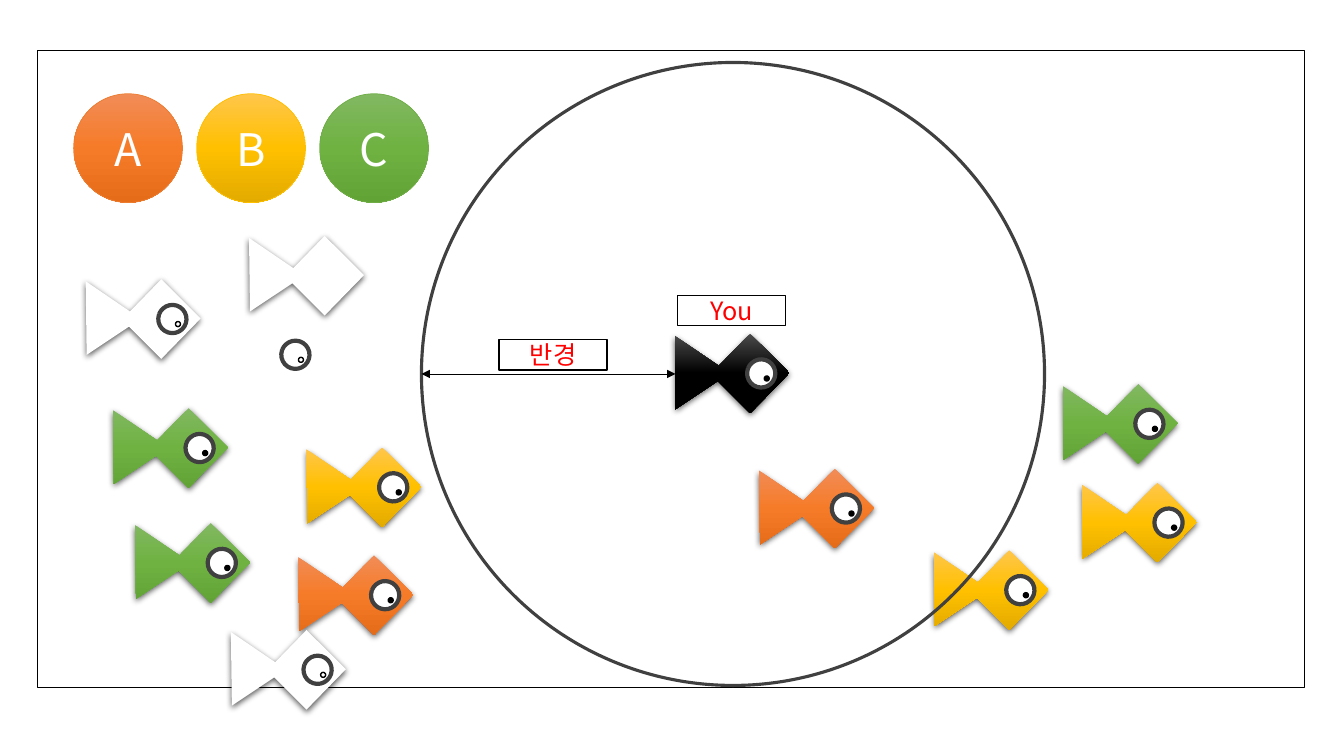
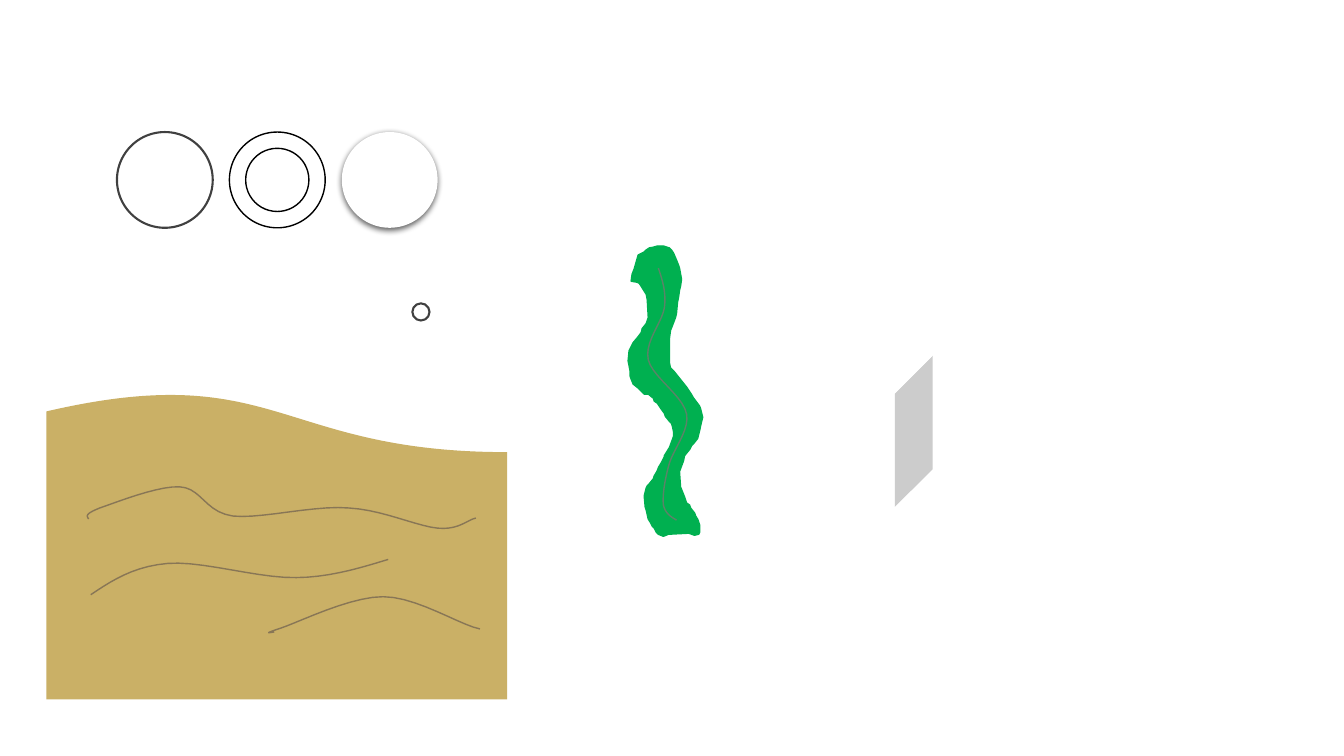
import copy

import pptx
import pptx.dml.color
import pptx.enum.shapes
import pptx.enum.text
import pptx.oxml
import pptx.oxml.ns
import pptx.util

KIND = pptx.enum.shapes.MSO_SHAPE
FONT = "Noto Sans CJK KR"
BLACK, WHITE, GRAY, RED = "000000", "FFFFFF", "404040", "FF0000"
SAND, RIPPLE, LEAF, VEIN = "CAB066", "887656", "00B050", "5B8368"
ORANGE = ("F18C57", "F67B28", "E56C19")
YELLOW = ("FFC64B", "FFC000", "E3AB00")
GREEN = ("81B861", "6FB242", "62A336")
DARK = ("4B4B4B", BLACK, BLACK)

BODY = [(44, 32), (75, 0), (114, 39), (75, 79), (43, 47), (1, 75), (0, 2)]
WEED = [
    (3, 35), (4, 28), (6, 23), (8, 16), (10, 9), (16, 6), (18, 4), (21, 2), (26, 1),
    (29, 0), (35, 0), (41, 2), (43, 4), (45, 7), (48, 14), (50, 19), (51, 22), (53, 33),
    (52, 40), (51, 44), (50, 51), (49, 56), (48, 67), (47, 71), (44, 79), (42, 84),
    (41, 92), (41, 116), (42, 121), (46, 125), (50, 130), (54, 135), (58, 140),
    (62, 146), (65, 151), (71, 159), (72, 162), (74, 170), (72, 178), (71, 183),
    (69, 191), (65, 196), (63, 198), (61, 202), (56, 208), (55, 213), (52, 221),
    (51, 224), (52, 239), (54, 244), (56, 249), (57, 252), (58, 255), (61, 257),
    (62, 260), (66, 265), (67, 268), (69, 271), (71, 277), (71, 284), (70, 286),
    (66, 287), (60, 285), (40, 286), (35, 288), (30, 286), (28, 284), (26, 280),
    (24, 278), (22, 274), (20, 271), (18, 262), (17, 259), (16, 248), (18, 240),
    (19, 238), (21, 236), (25, 231), (26, 228), (29, 223), (30, 220), (33, 215),
    (36, 209), (36, 208), (41, 200), (44, 192), (45, 189), (45, 184), (44, 179),
    (43, 176), (41, 174), (37, 169), (36, 166), (33, 162), (29, 156), (26, 154),
    (25, 151), (20, 147), (16, 147), (10, 141), (5, 137), (3, 132), (2, 129), (2, 124),
    (0, 114), (1, 104), (5, 96), (10, 90), (13, 86), (14, 82), (18, 77), (20, 71),
    (19, 53), (18, 48), (13, 40), (11, 37), (9, 36)]
STEM = [(30, 22), (34, 34), (38, 46), (36, 61), (34, 76), (16, 95), (20, 113),
        (24, 130), (55, 149), (58, 167), (61, 184), (43, 204), (40, 219),
        (36, 234), (34, 248), (35, 257), (37, 266), (43, 269), (48, 272)]
WAVES = [
    [(42, 127), (40, 124), (38, 122), (53, 116), (68, 111), (110, 94), (132, 95),
     (154, 96), (157, 120), (185, 124), (213, 127), (266, 113), (300, 116),
     (334, 118), (367, 134), (388, 136), (409, 138), (417, 128), (426, 126)],
    [(226, 239), (220, 240), (215, 241), (233, 235), (251, 229), (301, 204),
     (334, 204), (367, 204), (410, 232), (430, 236)],
    [(44, 202), (65, 188), (86, 174), (120, 171), (154, 168), (211, 186),
     (248, 185), (284, 185), (322, 172), (339, 167)]]


def inch(value):
    return pptx.util.Cm(value * 2.54)


def tint(code):
    return pptx.dml.color.RGBColor.from_string(code)


def tag(parent, name, **attrs):
    node = pptx.oxml.parse_xml(f'<a:{name} {pptx.oxml.ns.nsdecls("a")}/>')
    for key, value in attrs.items():
        node.set(key, str(value))
    parent.append(node)
    return node


def paint(shape, fill=None, line=None, width=1, shade=False):
    if fill is None:
        shape.fill.background()
    elif isinstance(fill, str):
        shape.fill.solid()
        shape.fill.fore_color.rgb = tint(fill)
    else:
        shape.fill.gradient()
        shape.fill.gradient_angle = 270
        stops = shape.element.spPr.find(".//" + pptx.oxml.ns.qn("a:gsLst"))
        stops.insert(1, copy.deepcopy(stops[0]))
        for stop, code, spot in zip(shape.fill.gradient_stops, fill, (0, 0.5, 1)):
            stop.color.rgb = tint(code)
            stop.position = spot
    if line:
        shape.line.color.rgb = tint(line)
        shape.line.width = pptx.util.Pt(width)
    else:
        shape.line.fill.background()
    shape.shadow.inherit = False
    if shade:
        effect = shape.element.spPr.find(pptx.oxml.ns.qn("a:effectLst"))
        cast = tag(effect, "outerShdw", blurRad=pptx.util.Pt(4.5),
                   dist=pptx.util.Pt(1.5), dir=5400000, algn="ctr", rotWithShape=0)
        tag(tag(cast, "srgbClr", val=BLACK), "alpha", val=63000)
    return shape


def place(shapes, kind, x, y, w, h, **style):
    shape = shapes.add_shape(kind, inch(x), inch(y), inch(w), inch(h))
    return paint(shape, **style)


def trace(shapes, x, y, points, close=True, **style):
    spots = [(inch(x + a / 100), inch(y + b / 100)) for a, b in points]
    maker = shapes.build_freeform(*spots[0], scale=1.0)
    maker.add_line_segments(spots[1:], close=close)
    return paint(maker.convert_to_shape(), **style)


def curve(shapes, x, y, knots, color, steps=10):
    points = [knots[0]]
    for start in range(0, len(knots) - 1, 3):
        arch = knots[start:start + 4]
        for step in range(1, steps + 1):
            t = step / steps
            parts = ((1 - t) ** 3, 3 * t * (1 - t) ** 2, 3 * t * t * (1 - t), t ** 3)
            points.append(tuple(sum(p * k[axis] for p, k in zip(parts, arch))
                                for axis in (0, 1)))
    trace(shapes, x, y, points, close=False, line=color)


def write(shape, text, size=18, color=WHITE):
    frame = shape.text_frame
    frame.vertical_anchor = pptx.enum.text.MSO_ANCHOR.MIDDLE
    line = frame.paragraphs[0]
    line.alignment = pptx.enum.text.PP_ALIGN.CENTER
    run = line.add_run()
    run.text = text
    run.font.size = pptx.util.Pt(size)
    run.font.name = FONT
    run.font.color.rgb = tint(color)
    for node in shape.element.iter(pptx.oxml.ns.qn("a:rPr")):
        tag(node, "ea", typeface=FONT)


def eye(shapes, x, y, pupil=BLACK):
    ring = place(shapes, KIND.ARC, x, y, 0.28, 0.28, fill=WHITE, line=GRAY, width=3)
    ring.adjustments[0] = 146.34
    ring.adjustments[1] = 145.63
    ring.rotation = 317.8
    place(shapes, KIND.OVAL, x + 0.17, y + 0.165, 0.05, 0.05, fill=pupil, line=BLACK)


def body(shapes, x, y, fill):
    trace(shapes, x, y, BODY, fill=fill, shade=True)


def fish(shapes, x, y, fill):
    group = shapes.add_group_shape().shapes
    body(group, x, y, fill)
    eye(group, x + 0.72, y + 0.255, WHITE if fill == WHITE else BLACK)
    return group


def badges(shapes, x, y):
    rows = (("A", ORANGE, "ED7D31"), ("B", YELLOW, "FFC000"), ("C", GREEN, "70AD47"))
    for index, (text, fill, line) in enumerate(rows):
        disc = place(shapes, KIND.OVAL, x + index * 1.22, y, 1.08, 1.08,
                     fill=fill, line=line, width=0.5)
        write(disc, text, size=32)


def label(shapes, x, y, text):
    write(place(shapes, KIND.RECTANGLE, x, y, 1.07, 0.3, line=BLACK), text, color=RED)


def player(shapes, x, y):
    group = fish(shapes, x + 2.51, y + 2.69, DARK)
    label(group, x + 2.54, y + 2.31, "You")
    place(group, KIND.OVAL, x, y, 6.18, 6.18, line=GRAY, width=2.25)
    label(group, x + 0.77, y + 2.75, "반경")
    level = inch(y + 3.09)
    arrow = group.add_connector(pptx.enum.shapes.MSO_CONNECTOR.STRAIGHT,
                                inch(x), level, inch(x + 2.52), level)
    arrow.line.color.rgb = tint(BLACK)
    arrow.line.width = pptx.util.Pt(0.5)
    ends = arrow.element.spPr.find(pptx.oxml.ns.qn("a:ln"))
    tag(ends, "headEnd", type="triangle")
    tag(ends, "tailEnd", type="triangle")
    tag(arrow.element.spPr, "effectLst")


def sand(shapes, x, y):
    group = shapes.add_group_shape().shapes
    ground = place(group, KIND.FLOWCHART_DOCUMENT, x, y, 4.57, 3.06, fill=SAND)
    ground.element.spPr.find(pptx.oxml.ns.qn("a:xfrm")).set("flipV", "1")
    for wave in WAVES:
        curve(group, x, y, wave, RIPPLE)


def weed(shapes, x, y):
    group = shapes.add_group_shape().shapes
    trace(group, x, y, WEED, fill=LEAF, line=LEAF)
    curve(group, x, y, STEM, VEIN)


def bubbles(shapes, x, y):
    size, step = 0.95, 1.115
    place(shapes, KIND.OVAL, x, y, size, size, line=GRAY, width=1.5)
    ring = place(shapes, KIND.DONUT, x + step, y, size, size, fill=WHITE, line=BLACK)
    ring.adjustments[0] = 0.17
    place(shapes, KIND.OVAL, x + 2 * step, y, size, size, fill=WHITE, shade=True)


def pond(shapes):
    place(shapes, KIND.RECTANGLE, 0.37, 0.5, 12.57, 6.32, line=BLACK)
    for x, y, fill in ((1.34, 5.19, GREEN), (2.96, 5.51, ORANGE), (9.26, 5.46, YELLOW)):
        fish(shapes, x, y, fill)
    badges(shapes, 0.73, 0.93)
    for x, y, fill in ((10.73, 4.79, YELLOW), (10.54, 3.81, GREEN),
                       (7.53, 4.65, ORANGE), (3.04, 4.44, YELLOW)):
        fish(shapes, x, y, fill)
    player(shapes, 4.18, 0.62)
    fish(shapes, 0.85, 2.77, WHITE)
    body(shapes, 2.47, 2.34, WHITE)
    fish(shapes, 1.12, 4.05, GREEN)
    fish(shapes, 2.29, 6.25, WHITE)
    eye(shapes.add_group_shape().shapes, 2.79, 3.38, WHITE)


def props(shapes):
    bubbles(shapes, 1.16, 1.31)
    sand(shapes, 0.46, 3.88)
    weed(shapes, 6.23, 2.44)
    place(shapes, KIND.CUBE, 7.75, 3.53, 1.5, 1.5, fill=WHITE)
    place(shapes, KIND.OVAL, 4.09, 3.01, 0.17, 0.17, line=GRAY, width=1.5)


deck = pptx.Presentation()
deck.slide_width, deck.slide_height = inch(13.33), inch(7.5)
for scene in (pond, props):
    scene(deck.slides.add_slide(deck.slide_layouts[6]).shapes)
deck.save("out.pptx")
